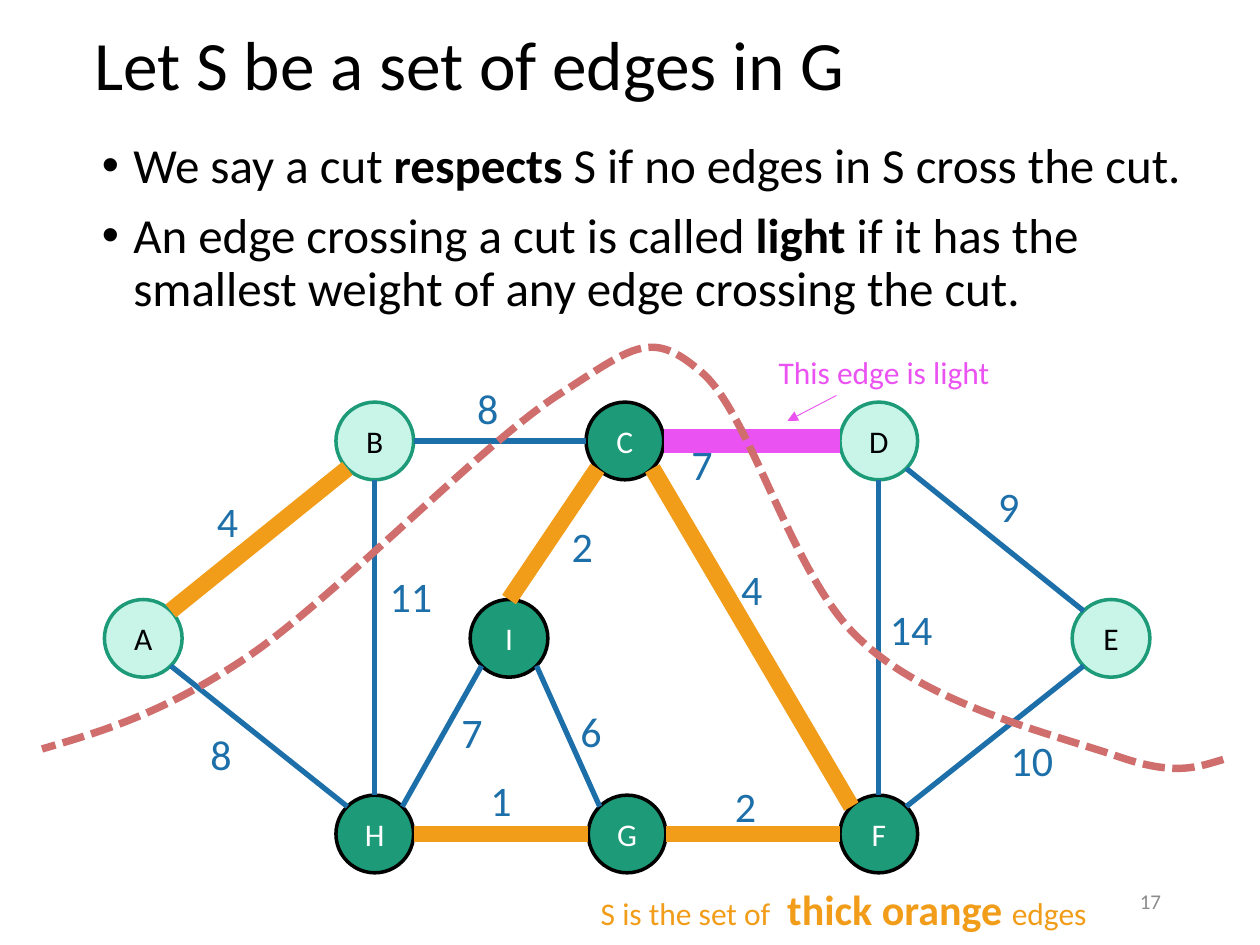
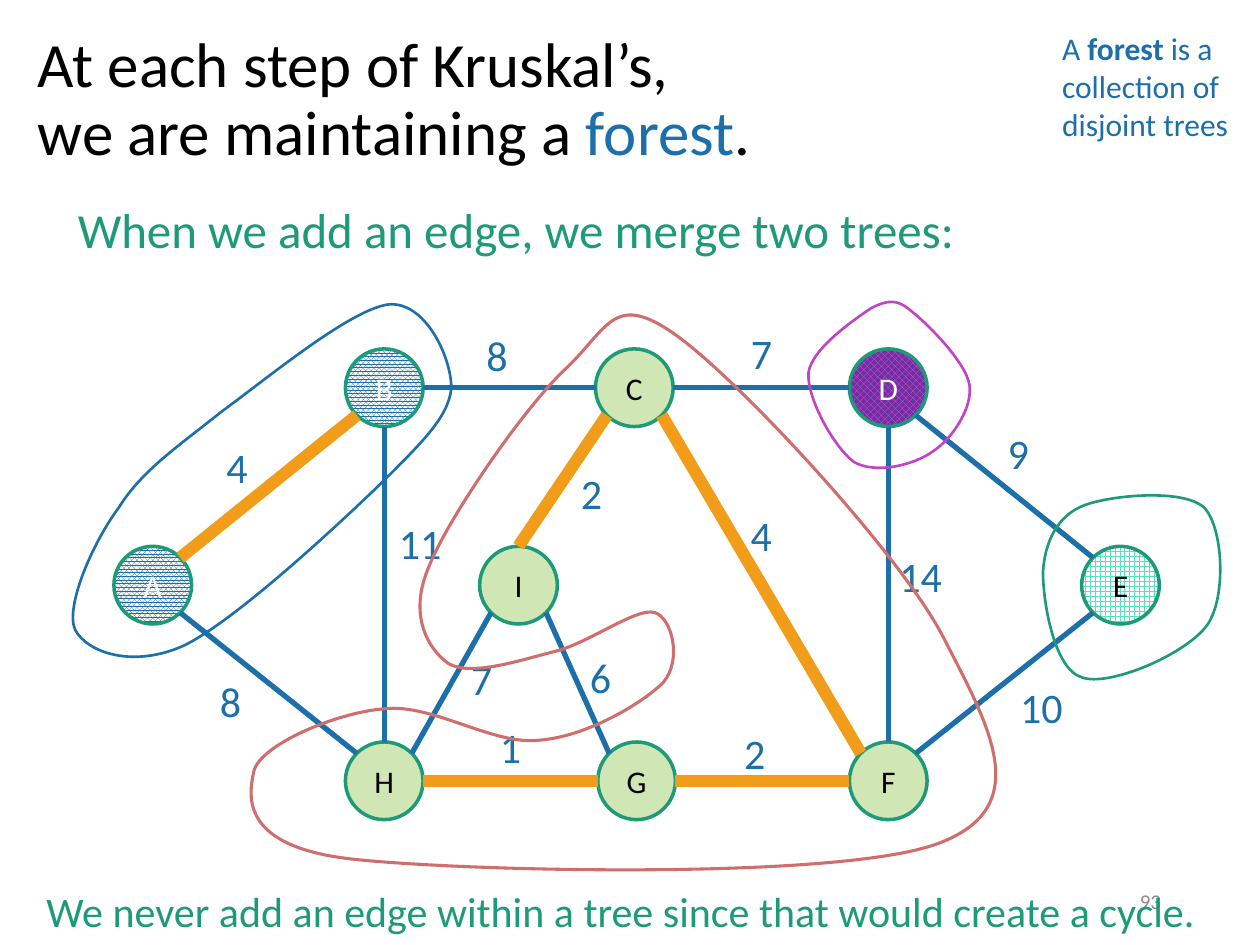
from lxml import etree
from pptx import Presentation
from pptx.dml.color import RGBColor
from pptx.enum import dml, shapes, text
from pptx.oxml.ns import qn
from pptx.util import Pt

FONT = "Calibri"
BLACK = RGBColor(0x00, 0x00, 0x00)
WHITE = RGBColor(0xFF, 0xFF, 0xFF)
GRAY = RGBColor(0x8C, 0x8C, 0x8C)
BLUE = RGBColor(0x1D, 0x6F, 0xA9)
GREEN = RGBColor(0x1D, 0x9A, 0x78)
MINT = RGBColor(0xC8, 0xF5, 0xE8)
AQUA = RGBColor(0x5A, 0xE0, 0xBB)
LIME = RGBColor(0xD1, 0xE6, 0xB5)
ORANGE = RGBColor(0xF1, 0x9D, 0x19)
PINK = RGBColor(0xEA, 0x53, 0xF1)
PURPLE = RGBColor(0x70, 0x30, 0xA0)
VIOLET = RGBColor(0xC2, 0x44, 0xC6)
ROSE = RGBColor(0xCF, 0x6E, 0x6C)

RADIUS = 22.2
DIAGONAL = RADIUS * 0.5 ** 0.5
SIDES = {
    "N": (0, -RADIUS), "S": (0, RADIUS), "W": (-RADIUS, 0), "E": (RADIUS, 0),
    "NW": (-DIAGONAL, -DIAGONAL), "NE": (DIAGONAL, -DIAGONAL),
    "SW": (-DIAGONAL, DIAGONAL), "SE": (DIAGONAL, DIAGONAL),
}
TOP_ROW, MIDDLE_ROW, BOTTOM_ROW = 252, 364.8, 476.6
NODES = {
    "D": (502.2, TOP_ROW), "C": (357.1, TOP_ROW), "B": (214.2, TOP_ROW),
    "A": (81.9, MIDDLE_ROW), "I": (290.9, MIDDLE_ROW), "E": (634.9, MIDDLE_ROW),
    "H": (214.2, BOTTOM_ROW), "G": (358.4, BOTTOM_ROW), "F": (502.2, BOTTOM_ROW),
}
# Start, its side, end, its side, weight, left and top of the weight
EDGES = [
    ("C", "SE", "F", "NW", 4, 416.4, 318.3),
    ("C", "E", "D", "W", 7, 416.6, 214),
    ("E", "NW", "D", "SE", 9, 563.3, 270.9),
    ("E", "SW", "F", "NE", 10, 570.4, 416.3),
    ("D", "S", "F", "N", 14, 501.4, 341.4),
    ("I", "SE", "G", "NW", 6, 324.6, 399.4),
    ("G", "E", "F", "W", 2, 412.8, 442.6),
    ("I", "N", "C", "SW", 2, 319.5, 293.9),
    ("B", "E", "C", "W", 8, 265.5, 215.3),
    ("A", "NE", "B", "SW", 4, 116.8, 279.4),
    ("A", "SE", "H", "NW", 8, 113.2, 412.6),
    ("G", "W", "H", "E", 1, 273.1, 439.3),
    ("I", "SW", "H", "NE", 7, 256.6, 400.3),
    ("H", "N", "B", "S", 11, 215.5, 322.4),
]
FOREST_EDGES = {"CF", "GF", "IC", "AB", "GH"}


def write(page, left, top, width, height, paragraphs, size, color,
          anchor=text.MSO_ANCHOR.TOP, align=text.PP_ALIGN.LEFT,
          line_spacing=None, bullets=False):
    """Add a text box; each paragraph lists (text, run font changes), "\\n" breaks a line."""
    box = page.shapes.add_textbox(Pt(left), Pt(top), Pt(width), Pt(height))
    frame = box.text_frame
    frame.word_wrap = True
    frame.vertical_anchor = anchor
    for index, spans in enumerate(paragraphs):
        para = frame.paragraphs[0] if index == 0 else frame.add_paragraph()
        para.alignment = align
        if line_spacing:
            para.line_spacing = line_spacing
        if index:
            para.space_before = Pt(10)
        if bullets:
            properties = para._p.get_or_add_pPr()
            properties.set("marL", str(Pt(18)))
            properties.set("indent", str(-Pt(18)))
            etree.SubElement(properties, qn("a:buFont"), typeface="Arial")
            etree.SubElement(properties, qn("a:buChar"), char="•")
        para.font.name = FONT
        para.font.size = Pt(size)
        para.font.color.rgb = color
        for words, changes in spans:
            if words == "\n":
                para.add_line_break()
                continue
            span = para.add_run()
            span.text = words
            if "bold" in changes:
                span.font.bold = changes["bold"]
            if "size" in changes:
                span.font.size = Pt(changes["size"])
            if "color" in changes:
                span.font.color.rgb = changes["color"]


def draw_line(page, start, end, color, width, arrow=False):
    line = page.shapes.add_connector(
        shapes.MSO_CONNECTOR.STRAIGHT, *[Pt(value) for value in (*start, *end)])
    line.line.color.rgb = color
    line.line.width = Pt(width)
    properties = line._element.spPr
    if arrow:
        etree.SubElement(properties.find(qn("a:ln")), qn("a:tailEnd"), type="triangle")
    etree.SubElement(properties, qn("a:effectLst"))


deck = Presentation()
deck.slide_width, deck.slide_height = Pt(720), Pt(540)
cut_page, forest_page = [deck.slides.add_slide(deck.slide_layouts[6]) for _ in range(2)]

# Node styles: fill (or pattern, foreground, background), outline, letter
outside = (MINT, GREEN, BLACK)
inside = (GREEN, BLACK, WHITE)
big_tree = (LIME, GREEN, BLACK)
blue_tree = ((dml.MSO_PATTERN.PERCENT_80, BLUE, WHITE), GREEN, WHITE)
cut_styles = {name: outside if name in "ABDE" else inside for name in NODES}
forest_styles = {name: big_tree for name in NODES} | {
    "A": blue_tree,
    "B": blue_tree,
    "D": ((dml.MSO_PATTERN.LARGE_CHECKER_BOARD, PINK, PURPLE), GREEN, WHITE),
    "E": ((dml.MSO_PATTERN.LARGE_GRID, AQUA, WHITE), GREEN, BLACK),
}

# The same graph on both slides, shifted on the second
for page, shift_x, shift_y, styles, thick, number in [
    (cut_page, 0, 0, cut_styles, 9.5, "17"),
    (forest_page, 5.4, -30.4, forest_styles, 7, "93"),
]:
    centers = {name: (x + shift_x, y + shift_y) for name, (x, y) in NODES.items()}
    for name, (x, y) in centers.items():
        fill, outline, letter = styles[name]
        node = page.shapes.add_shape(
            shapes.MSO_SHAPE.OVAL, Pt(x - RADIUS), Pt(y - RADIUS),
            Pt(2 * RADIUS), Pt(2 * RADIUS))
        node.shadow.inherit = False
        if isinstance(fill, RGBColor):
            node.fill.solid()
            node.fill.fore_color.rgb = fill
        else:
            node.fill.patterned()
            node.fill.pattern, node.fill.fore_color.rgb, node.fill.back_color.rgb = fill
        node.line.color.rgb = outline
        node.line.width = Pt(2)
        node.text_frame.vertical_anchor = text.MSO_ANCHOR.MIDDLE
        para = node.text_frame.paragraphs[0]
        para.text = name
        para.alignment = text.PP_ALIGN.CENTER
        para.font.name = FONT
        para.font.size = Pt(18)
        para.font.color.rgb = letter

    for start, start_side, end, end_side, *_ in EDGES:
        ends = [(centers[name][0] + SIDES[side][0], centers[name][1] + SIDES[side][1])
                for name, side in ((start, start_side), (end, end_side))]
        color, width = BLUE, 3
        if start + end in FOREST_EDGES:
            color, width = ORANGE, thick
        elif page is cut_page and start + end == "CD":
            color, width = PINK, 14
        draw_line(page, *ends, color, width)

    for start, _, end, _, weight, left, top in EDGES:
        if page is cut_page and start + end == "CD":
            left, top = 388, 247  # below the thick light edge
        write(page, left + shift_x, top + shift_y, 62, 36, [[(str(weight), {})]], 24, BLUE)

    write(page, 508.5, 500.4, 162, 28.8, [[(number, {})]], 12, GRAY,
          text.MSO_ANCHOR.MIDDLE, text.PP_ALIGN.RIGHT)

# Slide 1: cuts and light edges
bold = {"bold": True}
write(cut_page, 46.8, 12.2, 620.6, 53.3, [[("Let S be a set of edges in G", {})]],
      39.6, BLACK, text.MSO_ANCHOR.MIDDLE, line_spacing=0.9)
write(cut_page, 51.1, 77, 648, 112.3, [
    [("We say a cut ", {}), ("respects", bold),
     (" S if no edges in S cross the cut.", {})],
    [("An edge crossing a cut is called ", {}), ("light ", bold),
     ("if it has the smallest weight of any edge crossing the cut.", {})],
], 28, BLACK, line_spacing=0.9, bullets=True)
write(cut_page, 336.2, 501.1, 318.2, 36, [[
    ("S is the set of ", {}), (" thick orange ", {"bold": True, "size": 24}), ("edges", {}),
]], 18, ORANGE)
write(cut_page, 437.8, 198, 157, 28.8, [[("This edge is light", {})]], 18, PINK)
draw_line(cut_page, (478, 226), (450, 240.5), PINK, 0.5, arrow=True)

# Slide 2: the forest kept by the algorithm
write(forest_page, 14.4, 5.8, 620.6, 104.4, [[
    ("At each step of Kruskal’s,", {}), ("\n", {}), ("we are maintaining a ", {}),
    ("forest", {"color": BLUE}), (".", {}),
]], 36, BLACK, text.MSO_ANCHOR.MIDDLE, line_spacing=0.9)
write(forest_page, 599.8, 13, 149.8, 72.7, [[
    ("A ", {}), ("forest", bold), (" is a collection of disjoint trees", {}),
]], 18, BLUE)
write(forest_page, 37.4, 110.2, 554.4, 41,
      [[("When we add an edge, we merge two trees:", {})]], 28, GREEN)
write(forest_page, 19.4, 502.6, 680.4, 36,
      [[("We never add an edge within a tree since that would create a cycle.", {})]], 24, GREEN)

# Each curve: a start point, then two control points and an end point per segment
cut_curve = [
    (699, 434), (685, 438), (672, 444), (638, 432), (603, 420), (531, 403), (492, 366),
    (452, 330), (429, 235), (400, 212), (372, 188), (362, 198), (320, 225),
    (276, 253), (192, 341), (142, 375), (93, 408), (58, 418), (24, 428)]
tree_ab = [
    (68, 290), (81, 269), (102, 255), (127, 235), (153, 216), (200, 177), (222, 174),
    (243, 172), (258, 204), (258, 222), (256, 239), (241, 253), (216, 278),
    (191, 302), (134, 355), (105, 369), (76, 382), (50, 373), (43, 360),
    (37, 347), (53, 310), (68, 290)]
tree_d = [
    (498, 176), (489, 182), (464, 199), (462, 213), (461, 228), (477, 256), (488, 264),
    (500, 271), (522, 266), (533, 258), (544, 251), (556, 233), (554, 220),
    (552, 207), (530, 185), (521, 178), (513, 171), (508, 171), (498, 176)]
tree_e = [
    (619, 289), (604, 295), (597, 310), (596, 327), (596, 343), (602, 382), (618, 387),
    (633, 393), (678, 374), (690, 357), (701, 341), (699, 301), (688, 290),
    (676, 279), (634, 283), (619, 289)]
tree_cfghi = [
    (324, 210), (300, 232), (256, 296), (245, 324), (233, 352), (245, 371), (256, 379),
    (269, 387), (298, 377), (318, 372), (337, 367), (364, 347), (374, 350),
    (384, 353), (390, 377), (379, 390), (367, 402), (335, 421), (308, 423),
    (282, 426), (247, 402), (220, 405), (192, 407), (148, 426), (145, 441),
    (142, 455), (137, 484), (202, 491), (267, 498), (480, 503), (536, 482),
    (593, 461), (564, 413), (539, 364), (514, 316), (423, 218), (387, 192),
    (351, 166), (348, 187), (324, 210)]
for page, points, color, width in [
    (cut_page, cut_curve, ROSE, 4.25),
    (forest_page, tree_ab, BLUE, 1.5),
    (forest_page, tree_d, VIOLET, 1.5),
    (forest_page, tree_e, GREEN, 1.5),
    (forest_page, tree_cfghi, ROSE, 1.75),
]:
    first, *rest = [(Pt(x), Pt(y)) for x, y in points]
    builder = page.shapes.build_freeform(*first)
    builder.add_line_segments(rest, close=page is forest_page)
    curve = builder.convert_to_shape()
    curve.shadow.inherit = False
    curve.fill.background()
    curve.line.color.rgb = color
    curve.line.width = Pt(width)
    if page is cut_page:
        curve.line.dash_style = dml.MSO_LINE.SQUARE_DOT
    # Turn every three straight segments into one cubic curve
    segments = list(curve._element.iter(qn("a:lnTo")))
    for control, second, end in zip(*[iter(segments)] * 3):
        bezier = etree.Element(qn("a:cubicBezTo"))
        control.addprevious(bezier)
        for segment in (control, second, end):
            bezier.append(segment[0])
            segment.getparent().remove(segment)

deck.save("out.pptx")
